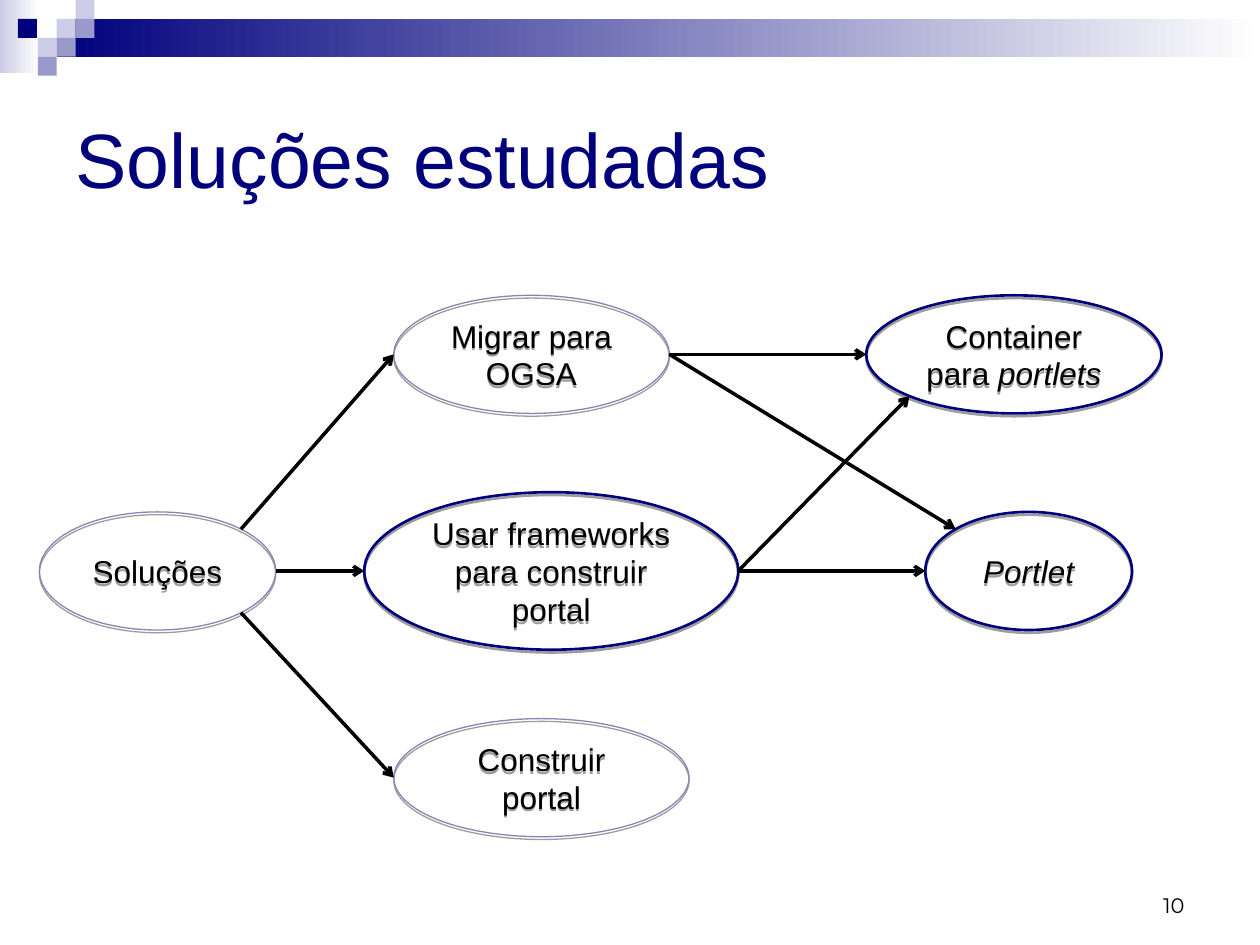
from math import cos, radians, sin

from lxml.etree import SubElement
from pptx import Presentation
from pptx.dml.color import RGBColor
from pptx.enum.shapes import MSO_CONNECTOR as CXN, MSO_SHAPE as SHAPE
from pptx.enum.text import MSO_ANCHOR as ANCHOR, MSO_AUTO_SIZE as AUTO, PP_ALIGN as ALIGN
from pptx.oxml.ns import qn
from pptx.util import Inches, Pt

NAVY = RGBColor(0x00, 0x00, 0x7D)
LILAC = RGBColor(0xCC, 0xCC, 0xE6)
VIOLET = RGBColor(0x99, 0x99, 0xCC)
MAUVE = RGBColor(0x86, 0x86, 0xB6)
WHITE = RGBColor(0xFF, 0xFF, 0xFF)
BLACK = RGBColor(0x00, 0x00, 0x00)

prs = Presentation()
prs.slide_width, prs.slide_height = Inches(10), Inches(7.5)
W, H = prs.slide_width, prs.slide_height
slide = prs.slides.add_slide(prs.slide_layouts[5])
TILE = Inches(0.15)
UNIT = W / 64


def add_shape(kind, unit, x, y, w, h):
    sp = slide.shapes.add_shape(kind, *(round(v * unit) for v in (x, y, w, h)))
    sp.shadow.inherit = False
    return sp


def add_run(p, text, size, color, font="Arial", italic=False):
    r = p.add_run()
    r.text = text
    r.font.size, r.font.name, r.font.italic = Pt(size), font, italic
    r.font.color.rgb = color


for box, start in [((0, 0, 2.07, 3.87), LILAC), ((3, 1, 63.67, 2), NAVY)]:
    sp = add_shape(SHAPE.RECTANGLE, TILE, *box)
    sp.fill.gradient()
    sp.fill.gradient_angle = 0
    for stop, color in zip(sp.fill.gradient_stops, (start, WHITE)):
        stop.color.rgb = color
    sp.line.fill.background()

tiles = [(3, 1, LILAC), (4, 0, LILAC), (4, 1, VIOLET), (2, 2, LILAC),
         (0.95, 1, NAVY), (3, 2, VIOLET), (2, 3, VIOLET)]
for col, row, color in tiles:
    sp = add_shape(SHAPE.RECTANGLE, TILE, col, row, 1, 1)
    sp.fill.solid()
    sp.fill.fore_color.rgb = color
    sp.line.fill.background()

title = slide.shapes.title
title.left, title.top = round(W * 0.05), round(H / 15)
title.width, title.height = round(W * 0.9), round(H * 0.2)
tf = title.text_frame
tf.auto_size, tf.vertical_anchor = AUTO.NONE, ANCHOR.MIDDLE
p = tf.paragraphs[0]
p.alignment = ALIGN.LEFT
add_run(p, "Soluções estudadas", 44, NAVY)

number = slide.shapes.add_textbox(round(W * 0.717), round(H * 0.911), round(W * 0.233), round(H / 15))
tf = number.text_frame
tf.word_wrap, tf.vertical_anchor = True, ANCHOR.BOTTOM
p = tf.paragraphs[0]
p.alignment = ALIGN.RIGHT
add_run(p, "10", 12, BLACK, "Montserrat")

nodes = {
    "start": ((2, 26, 12, 6), MAUVE, 0.75, [("Soluções", False)]),
    "build": ((20, 36.5, 15, 6), MAUVE, 0.75, [("Construir portal", False)]),
    "migrate": ((20, 15, 14, 6), MAUVE, 0.75, [("Migrar para OGSA", False)]),
    "frameworks": ((18.5, 25, 19, 8), NAVY, 1.5, [("Usar frameworks para construir portal", False)]),
    "container": ((44, 15, 15, 6), NAVY, 1.5, [("Container para ", False), ("portlets", True)]),
    "portlet": ((47, 26, 10.5, 6), NAVY, 1.5, [("Portlet", True)]),
}
for box, color, width, runs in nodes.values():
    sp = add_shape(SHAPE.OVAL, UNIT, *box)
    sp.fill.background()
    sp.line.color.rgb, sp.line.width = color, Pt(width)
    effects = sp._element.spPr.find(qn("a:effectLst"))
    shadow = SubElement(effects, qn("a:outerShdw"), blurRad="0", dist=str(Pt(1.6)),
                        dir="5400000", rotWithShape="0")
    tone = SubElement(shadow, qn("a:srgbClr"), val=str(BLACK))
    SubElement(tone, qn("a:alpha"), val="38000")
    tf = sp.text_frame
    tf.word_wrap, tf.vertical_anchor = True, ANCHOR.MIDDLE
    p = tf.paragraphs[0]
    p.alignment = ALIGN.CENTER
    for text, italic in runs:
        add_run(p, text, 18, BLACK, italic=italic)

arrows = [("start", -45, "migrate", 180), ("start", 0, "frameworks", 180),
          ("start", 45, "build", 180), ("migrate", 0, "container", 180),
          ("migrate", 0, "portlet", 225), ("frameworks", 0, "container", 135),
          ("frameworks", 0, "portlet", 180)]
for source, out_angle, target, in_angle in arrows:
    ends = []
    for name, angle in ((source, out_angle), (target, in_angle)):
        x, y, w, h = nodes[name][0]
        ends += [round(UNIT * (x + w / 2 * (1 + cos(radians(angle))))),
                 round(UNIT * (y + h / 2 * (1 + sin(radians(angle)))))]
    line = slide.shapes.add_connector(CXN.STRAIGHT, *ends)
    line.line.color.rgb, line.line.width = BLACK, Pt(2)
    SubElement(line.line._get_or_add_ln(), qn("a:tailEnd"), type="arrow")
    SubElement(line._element.spPr, qn("a:effectLst"))

prs.save("out.pptx")
